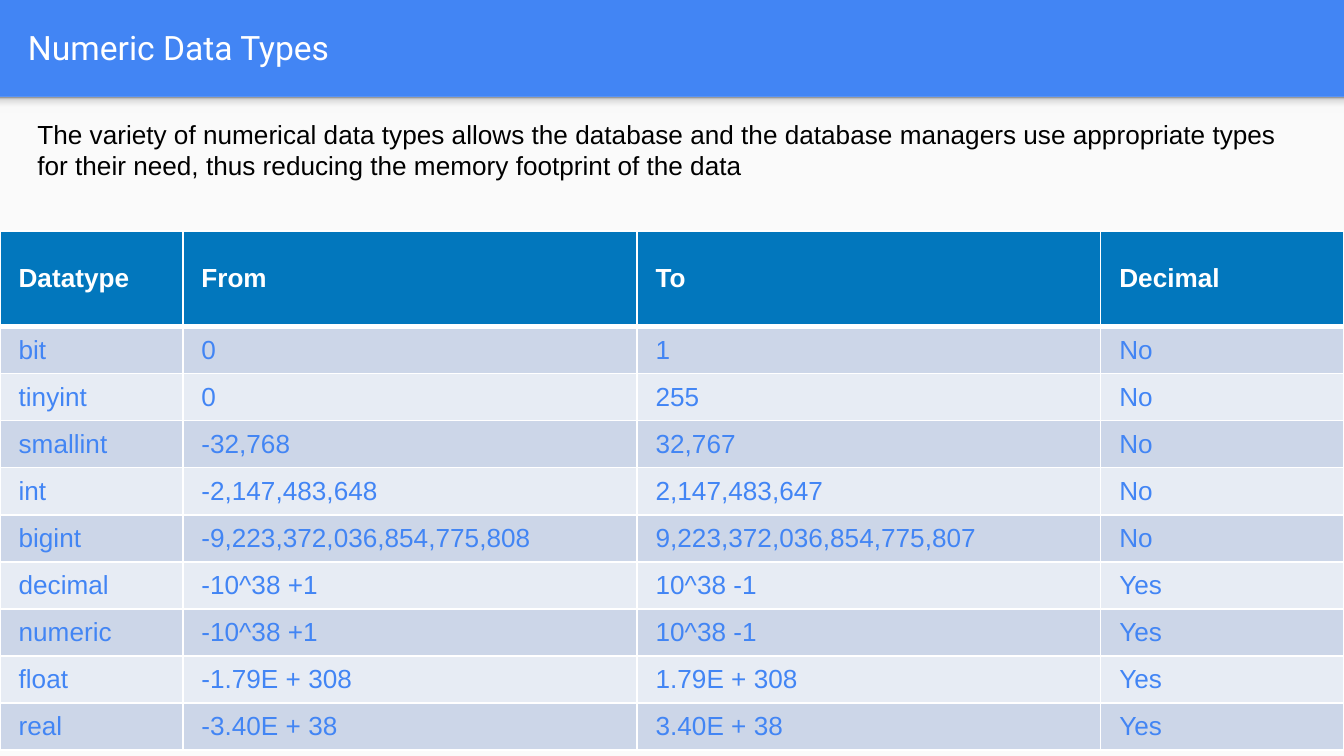
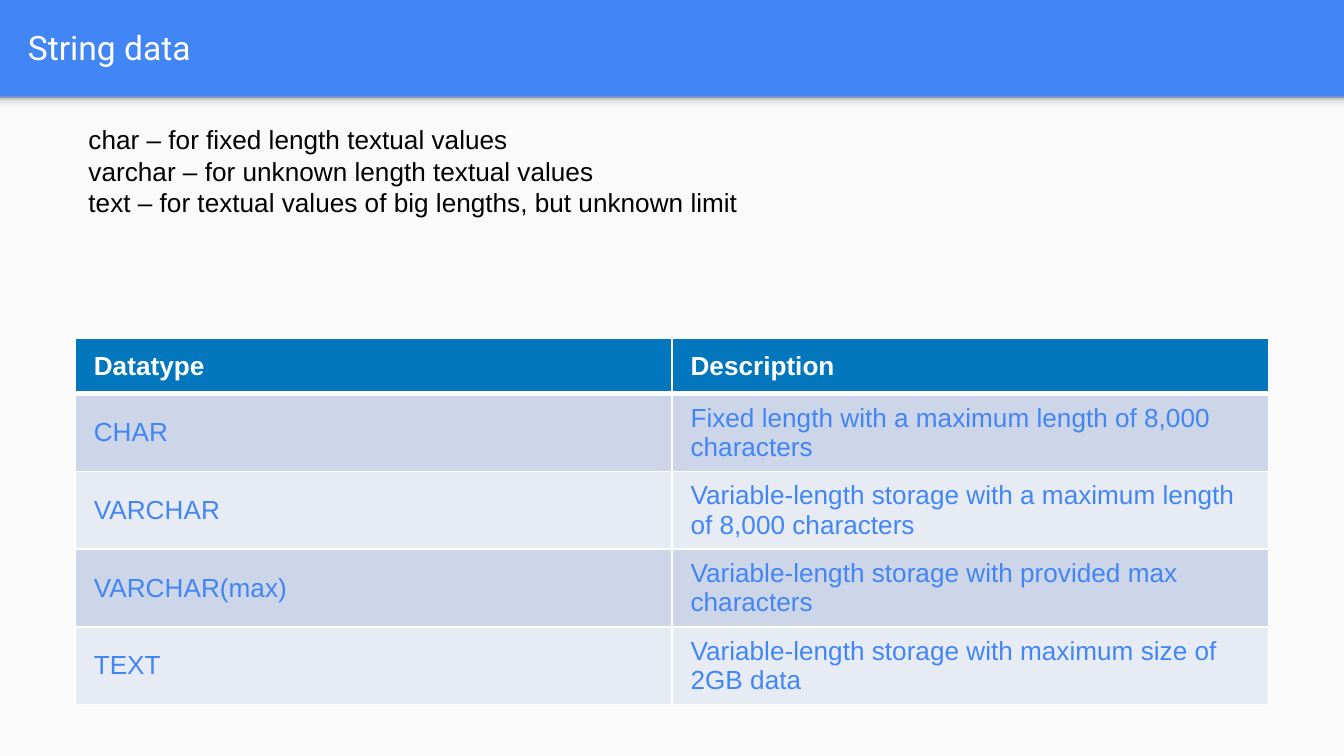
from lxml import etree
from pptx import Presentation
from pptx import util as u
from pptx.dml.color import RGBColor
from pptx.enum import shapes, text
from pptx.oxml import ns

BLUE, PAPER, HEADER, WHITE, BLACK = "4285F4", "FAFAFA", "0277BD", "FFFFFF", "000000"
BANDS = ("CCD6E8", "E7ECF4")
SHADOW_STOPS = ((0, "F9F9F9"), (36, "F9F9F9"), (80, "DEDEDE"), (100, "999999"))
BAND_HEIGHT = 0.72


def rgb(value):
    return RGBColor.from_string(value)


def add_color(parent, value):
    etree.SubElement(parent, ns.qn("a:srgbClr"), val=value)


class Deck:
    """Holds the shared style and the slide being built."""

    def __init__(self, width, height):
        self.prs = Presentation()
        self.width, self.height = width, height
        self.prs.slide_width, self.prs.slide_height = u.Inches(width), u.Inches(height)
        self.slide = None

    def start_slide(self, title):
        self.slide = self.prs.slides.add_slide(self.prs.slide_layouts[6])
        background = self.slide.background.fill
        background.solid()
        background.fore_color.rgb = rgb(BLUE)
        # Light page below the title band, with a soft shadow at its top
        page = self.panel(BAND_HEIGHT, self.height - BAND_HEIGHT)
        page.fill.solid()
        page.fill.fore_color.rgb = rgb(PAPER)
        self.shade(self.panel(BAND_HEIGHT, 0.12))
        self.text_box((0.11, 0.02, 9.65, 0.66), [title], 18, "Roboto", WHITE,
                      inset=0.1, anchor=text.MSO_ANCHOR.MIDDLE)

    def panel(self, top, height):
        panel = self.slide.shapes.add_shape(
            shapes.MSO_SHAPE.RECTANGLE, 0, u.Inches(top), u.Inches(self.width), u.Inches(height))
        panel.shadow.inherit = False
        panel.line.fill.background()
        return panel

    def shade(self, panel):
        panel.fill.gradient()
        panel.fill.gradient_angle = 90
        stops = panel.fill._fill._gradFill.find(ns.qn("a:gsLst"))
        for stop in list(stops):
            stops.remove(stop)
        for percent, color in SHADOW_STOPS:
            add_color(etree.SubElement(stops, ns.qn("a:gs"), pos=str(percent * 1000)), color)

    def format(self, paragraph, size, font, color, bold=False):
        for run in paragraph.runs:
            run.font.size, run.font.name, run.font.bold = u.Pt(size), font, bold
            run.font.color.rgb = rgb(color)

    def text_box(self, place, lines, size=14, font="Arial", color=BLACK,
                 inset=0.05, anchor=text.MSO_ANCHOR.TOP):
        frame = self.slide.shapes.add_textbox(*map(u.Inches, place)).text_frame
        frame.word_wrap = True
        frame.vertical_anchor = anchor
        frame.margin_top = frame.margin_bottom = u.Inches(inset)
        frame.margin_left = frame.margin_right = u.Inches(0.1)
        frame.text = "\n".join(lines)
        for paragraph in frame.paragraphs:
            self.format(paragraph, size, font, color)

    def borders(self, cell, top, bottom):
        properties = cell._tc.get_or_add_tcPr()
        for side, points in (("L", 1), ("R", 1), ("T", top), ("B", bottom)):
            line = etree.SubElement(properties, ns.qn("a:ln" + side), w=str(u.Pt(points)))
            add_color(etree.SubElement(line, ns.qn("a:solidFill")), WHITE)

    def table(self, left, top, widths, header_height, row_height, rows):
        heights = [header_height] + [row_height] * (len(rows) - 1)
        table = self.slide.shapes.add_table(
            len(rows), len(widths), u.Inches(left), u.Inches(top),
            u.Inches(sum(widths)), u.Inches(sum(heights))).table
        for column, width in zip(table.columns, widths):
            column.width = u.Inches(width)
        for r, (values, height) in enumerate(zip(rows, heights)):
            table.rows[r].height = u.Inches(height)
            is_header = r == 0
            for c, value in enumerate(values):
                cell = table.cell(r, c)
                cell.text_frame.text = value
                cell.vertical_anchor = text.MSO_ANCHOR.MIDDLE
                cell.margin_left = cell.margin_right = u.Pt(10)
                cell.margin_top = cell.margin_bottom = u.Pt(4)
                # The rule under the header is thicker
                self.borders(cell, top=3 if r == 1 else 1, bottom=3 if is_header else 1)
                cell.fill.solid()
                cell.fill.fore_color.rgb = rgb(HEADER if is_header else BANDS[(r - 1) % 2])
                self.format(cell.text_frame.paragraphs[0], 14, "Arial",
                            WHITE if is_header else BLUE, is_header)


def numeric_types(deck):
    deck.start_slide("Numeric Data Types")
    ranges = [
        ("Datatype", "From", "To", "Decimal"),
        ("bit", "0", "1", "No"),
        ("tinyint", "0", "255", "No"),
        ("smallint", "-32,768", "32,767", "No"),
        ("int", "-2,147,483,648", "2,147,483,647", "No"),
        ("bigint", "-9,223,372,036,854,775,808", "9,223,372,036,854,775,807", "No"),
        ("decimal", "-10^38 +1", "10^38 -1", "Yes"),
        ("numeric", "-10^38 +1", "10^38 -1", "Yes"),
        ("float", "-1.79E + 308", "1.79E + 308", "Yes"),
        ("real", "-3.40E + 38", "3.40E + 38", "Yes"),
    ]
    deck.table(0, 1.72, (1.36, 3.38, 3.45, 1.81), 0.71, 0.35, ranges)
    deck.text_box((0.18, 0.83, 9.5, 0.57), [
        "The variety of numerical data types allows the database and the database managers "
        "use appropriate types for their need, thus reducing the memory footprint of the data",
    ])


def string_types(deck):
    deck.start_slide("String data")
    descriptions = [
        ("Datatype", "Description"),
        ("CHAR", "Fixed length with a maximum length of 8,000 characters"),
        ("VARCHAR", "Variable-length storage with a maximum length of 8,000 characters"),
        ("VARCHAR(max)", "Variable-length storage with provided max characters"),
        ("TEXT", "Variable-length storage with maximum size of 2GB data"),
    ]
    deck.table(0.56, 2.52, (4.44, 4.44), 0.41, 0.41, descriptions)
    deck.text_box((0.56, 0.87, 8.88, 0.81), [
        "char – for fixed length textual values",
        "varchar – for unknown length textual values",
        "text – for textual values of big lengths, but unknown limit",
    ])


def main():
    # Widescreen, 16:9
    deck = Deck(10, 10 * 9 / 16)
    numeric_types(deck)
    string_types(deck)
    deck.prs.save("out.pptx")


if __name__ == "__main__":
    main()
